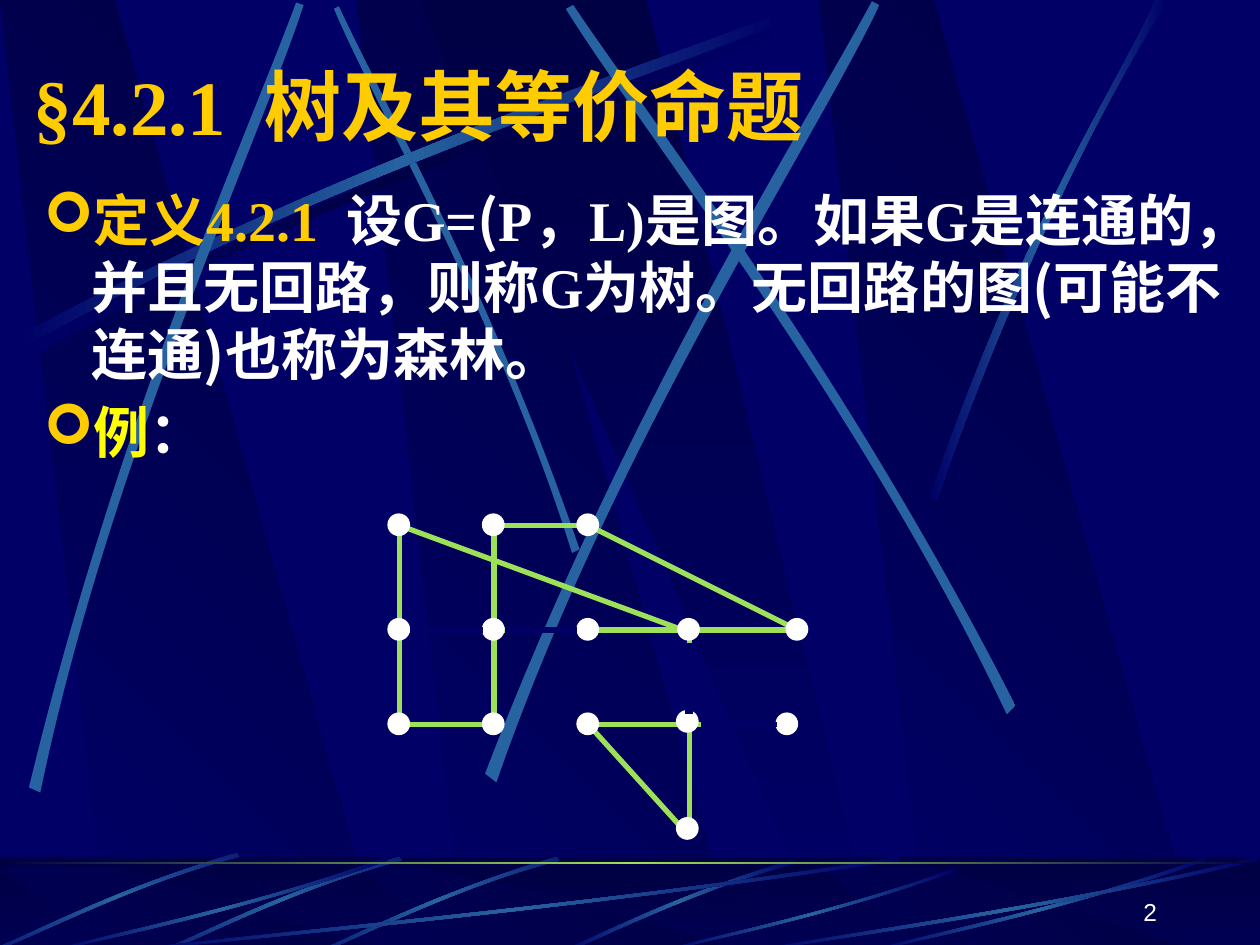
from collections import namedtuple
from math import cos, radians, sin

from lxml import etree
from pptx import Presentation
from pptx.dml.color import RGBColor
from pptx.enum.shapes import MSO_CONNECTOR as Connector, MSO_SHAPE as Shape
from pptx.enum.text import MSO_ANCHOR as Anchor, PP_ALIGN as Align
from pptx.oxml import parse_xml
from pptx.oxml.ns import nsdecls, qn
from pptx.util import Pt

PX = 9144  # 100 px to the inch
WIDTH, HEIGHT = 1000, 750
Box = namedtuple("Box", "x y w h")

COLORS = {
    "navy": "000066", "dark": "000044", "streak": "2663A0", "green": "9CE157",
    "gold": "FFCC00", "yellow": "FFFF00", "white": "FFFFFF",
}
TIMES, SANS, ARIAL = "Times New Roman", "Noto Sans CJK SC", "Arial"
FADE = ("navy", "streak", "navy")
PLAIN = ("streak", "streak")

# Each streak: start, two controls, end, then the same back along the other edge;
# after that its colours and its turn in degrees.
SKY_STREAKS = [
    ([(20, 275), (284, 134), (524, 59), (626, 18),
      (629, 24), (528, 69), (254, 151), (23, 285)], ("navy", "dark", "navy"), 0),
    ([(460, 436), (391, 234), (302, 77), (269, 5),
      (265, 7), (295, 79), (398, 258), (454, 439)], PLAIN, 45),
    ([(14, 267), (278, 125), (518, 51), (620, 10),
      (623, 16), (522, 61), (248, 143), (17, 277)], FADE, 0),
    ([(23, 625), (93, 334), (197, 105), (235, 2),
      (241, 4), (207, 109), (86, 368), (32, 629)], PLAIN, 311.7),
    ([(385, 614), (498, 320), (638, 102), (692, 1),
      (698, 4), (649, 108), (486, 355), (394, 621)], PLAIN, 321.6),
    ([(806, 560), (670, 293), (516, 95), (455, 4),
      (449, 7), (507, 101), (685, 325), (799, 567)], PLAIN, 34.7),
    ([(738, 394), (814, 173), (888, 66), (917, 0),
      (927, 0), (836, 145), (769, 322), (744, 397)], FADE, 0),
]
STEEP_STREAK = [(186, 0), (99, 25), (31, 60), (0, 73),
                (1, 75), (32, 63), (109, 23), (188, 3)]
FLAT_STREAK = [(266, 3), (151, 43), (46, 64), (1, 75),
               (0, 74), (44, 61), (164, 38), (265, 0)]

NODES = [(9, 9), (84, 9), (159, 9),
         (9, 92), (84, 92), (159, 92), (239, 92), (325, 92),
         (9, 167), (84, 167), (159, 167), (238, 165), (317, 167), (238, 250)]
EDGES = [((159, 9), (325, 92)), ((159, 167), (234, 250)), ((9, 167), (84, 167)),
         ((234, 92), (9, 9)), ((9, 9), (9, 159)), ((159, 9), (84, 9)),
         ((317, 92), (9, 92)), ((239, 93), (239, 243)), ((317, 167), (159, 167)),
         ((84, 9), (84, 159))]
ERASED = [((93, 92), (150, 92), 3), ((239, 102), (239, 159), 4.5),
          ((17, 92), (75, 92), 3), ((248, 167), (309, 167), 3)]

DEFINITION = [
    ("定义", SANS, "gold"), ("4.2.1  ", TIMES, "gold"), ("设", SANS, "white"),
    ("G=", TIMES, "white"), ("(", SANS, "white"), ("P", TIMES, "white"),
    ("，", SANS, "white"), ("L)", TIMES, "white"), ("是图。如果", SANS, "white"),
    ("G", TIMES, "white"), ("是连通的，并且无回路，则称", SANS, "white"),
    ("G", TIMES, "white"), ("为树。无回路的图(可能不连通)也称为森林。", SANS, "white"),
]
EXAMPLE = [("例", TIMES, "yellow"), ("：", TIMES, "white")]


def rgb(name):
    return RGBColor.from_string(COLORS[name])


def paint_gradient(shape, names, angle=0):
    stops = "".join(
        f'<a:gs pos="{100000 * i // (len(names) - 1)}"><a:srgbClr val="{COLORS[name]}"/></a:gs>'
        for i, name in enumerate(names))
    shape.fill.background()
    shape.line.fill.background()
    shape.shadow.inherit = False
    properties = shape._element.spPr
    properties.replace(properties.find(qn("a:noFill")), parse_xml(
        f'<a:gradFill {nsdecls("a")} rotWithShape="1"><a:gsLst>{stops}</a:gsLst>'
        f'<a:lin ang="{angle * 60000}" scaled="0"/></a:gradFill>'))


def add_outline(slide, points, names, angle=0):
    corners = [(round(x * PX), round(y * PX)) for x, y in points]
    builder = slide.shapes.build_freeform(*corners[0], scale=1.0)
    builder.add_line_segments(corners[1:], close=True)
    outline = builder.convert_to_shape()
    paint_gradient(outline, names, angle)
    return outline


def rotate(point, degrees):
    x, y = point
    c, s = cos(radians(degrees)), sin(radians(degrees))
    return x * c - y * s, x * s + y * c


def curve_sides(outline):
    """Turn the two long sides of an eight-point outline into Bezier curves."""
    lines = list(outline._element.spPr.iter(qn("a:lnTo")))
    for side in (lines[0:3], lines[4:7]):
        side[0].tag
        curve = etree.Element(qn("a:cubicBezTo"))
        side[0].addprevious(curve)
        for line in side:
            curve.append(line[0])
            line.getparent().remove(line)


def add_streak(slide, knots, names, left=0, top=0, stretch=1.0, squash=1.0, turn=0):
    placed = [(left + x * stretch, top + y * squash) for x, y in knots]
    streak = add_outline(slide, [rotate(point, -turn) for point in placed], names)
    curve_sides(streak)
    middle = rotate((streak.left + streak.width / 2, streak.top + streak.height / 2), turn)
    streak.left = round(middle[0] - streak.width / 2)
    streak.top = round(middle[1] - streak.height / 2)
    streak.rotation = turn


def add_bar(slide, box, names, angle=0):
    bar = slide.shapes.add_shape(Shape.RECTANGLE, *(v * PX for v in box))
    paint_gradient(bar, names, angle)
    return bar


def add_panels(slide, box):
    """Slanted panels of shade that run from the top to the foot of the box."""
    top, foot = box.y, box.y + box.h
    for left in (283, 0, 650):
        x = box.x + left
        add_outline(slide, [(x + 86, foot), (x + 302, foot), (x + 91, top), (x, top)],
                    ("navy", "dark"), 315)
    add_outline(slide, [(box.x + x, y) for x, y in
                        ((333, top), (658, foot), (694, foot), (513, top))],
                ("dark", "navy"), 90)


def add_sky(slide, box):
    add_panels(slide, box)
    for knots, names, turn in SKY_STREAKS:
        add_streak(slide, knots, names, box.x, box.y, turn=turn)


def add_floor(slide, box):
    add_bar(slide, box, ("dark", "navy"), 90)
    add_panels(slide, Box(box.x, box.y + 8, box.w, box.h - 8))
    veil = add_bar(slide, box, ("dark", "dark"))
    veil.fill.solid()
    veil.fill.fore_color.rgb = rgb("dark")
    tint = veil._element.spPr.find(qn("a:solidFill"))[0]
    etree.SubElement(tint, qn("a:alpha"), val="50000")
    for left, top, turn in ((445, 2, 0), (256, 0, 315), (131, 0, 315), (2, -3, 315)):
        add_streak(slide, STEEP_STREAK, FADE, box.x + left, box.y + top, turn=turn)
    for left, top, stretch, squash in ((100, 0, 2.31, 1), (42, 0, 1, 1),
                                       (527, 9, 0.87, 0.88), (692, 0, 1, 1),
                                       (600, 0, 1.5, 1)):
        add_streak(slide, FLAT_STREAK, FADE, box.x + left, box.y + top, stretch, squash)
    add_bar(slide, Box(box.x, box.y + 4, box.w, 2), ("dark", "green", "dark"))


def add_text(slide, box, paragraphs, size, bold=False, anchor=Anchor.TOP,
             align=Align.LEFT, bullet=None, pitch=None):
    frame = slide.shapes.add_textbox(*(v * PX for v in box)).text_frame
    frame.word_wrap = True
    frame.vertical_anchor = anchor
    for i, runs in enumerate(paragraphs):
        paragraph = frame.add_paragraph() if i else frame.paragraphs[0]
        if bullet:
            layout = paragraph._p.get_or_add_pPr()
            layout.set("marL", str(38 * PX))
            layout.set("indent", str(-38 * PX))
            color = etree.SubElement(layout, qn("a:buClr"))
            etree.SubElement(color, qn("a:srgbClr"), val=COLORS["gold"])
            etree.SubElement(layout, qn("a:buFont"), typeface="Wingdings", charset="2")
            etree.SubElement(layout, qn("a:buChar"), char=bullet)
        paragraph.alignment = align
        if pitch:
            paragraph.line_spacing = Pt(pitch)
        if i:
            paragraph.space_before = Pt(size * 0.2)
        for words, face, color in runs:
            run = paragraph.add_run()
            run.text = words
            run.font.size, run.font.bold, run.font.name = Pt(size), bold, face
            run.font.color.rgb = rgb(color)
            etree.SubElement(run._r.rPr, qn("a:ea"), typeface=SANS)


def add_line(slide, box, start, end, color, weight=3):
    ends = [(origin + offset) * PX for point in (start, end)
            for origin, offset in zip(box, point)]
    line = slide.shapes.add_connector(Connector.STRAIGHT, *ends)
    line.line.color.rgb = rgb(color)
    line.line.width = Pt(weight)
    etree.SubElement(line._element.spPr, qn("a:effectLst"))


def add_graph(slide, box):
    for start, end in EDGES:
        add_line(slide, box, start, end, "green")
    for x, y in NODES:
        node = slide.shapes.add_shape(
            Shape.OVAL, (box.x + x - 9) * PX, (box.y + y - 9) * PX, 17 * PX, 17 * PX)
        node.shadow.inherit = False
        node.fill.solid()
        node.fill.fore_color.rgb = node.line.color.rgb = rgb("white")
        node.line.width = Pt(0.75)
    for start, end, weight in ERASED:
        add_line(slide, box, start, end, "navy", weight)


def main():
    deck = Presentation()
    deck.slide_width, deck.slide_height = WIDTH * PX, HEIGHT * PX
    slide = deck.slides.add_slide(deck.slide_layouts[6])
    slide.background.fill.solid()
    slide.background.fill.fore_color.rgb = rgb("navy")
    add_sky(slide, Box(0, 0, WIDTH, HEIGHT))
    add_floor(slide, Box(0, 680, WIDTH, 75))
    add_text(slide, Box(17, 42, 850, 83), [[("§4.2.1  树及其等价命题", TIMES, "gold")]],
             44, bold=True, anchor=Anchor.MIDDLE)
    add_text(slide, Box(25, 142, 958, 242), [DEFINITION, EXAMPLE], 32, bold=True,
             bullet="➢", pitch=38.4)
    add_graph(slide, Box(308, 408, 334, 259))
    add_text(slide, Box(720, 690, 208, 50), [[("2", ARIAL, "white")]], 14,
             anchor=Anchor.BOTTOM, align=Align.RIGHT)
    deck.save("out.pptx")


if __name__ == "__main__":
    main()
